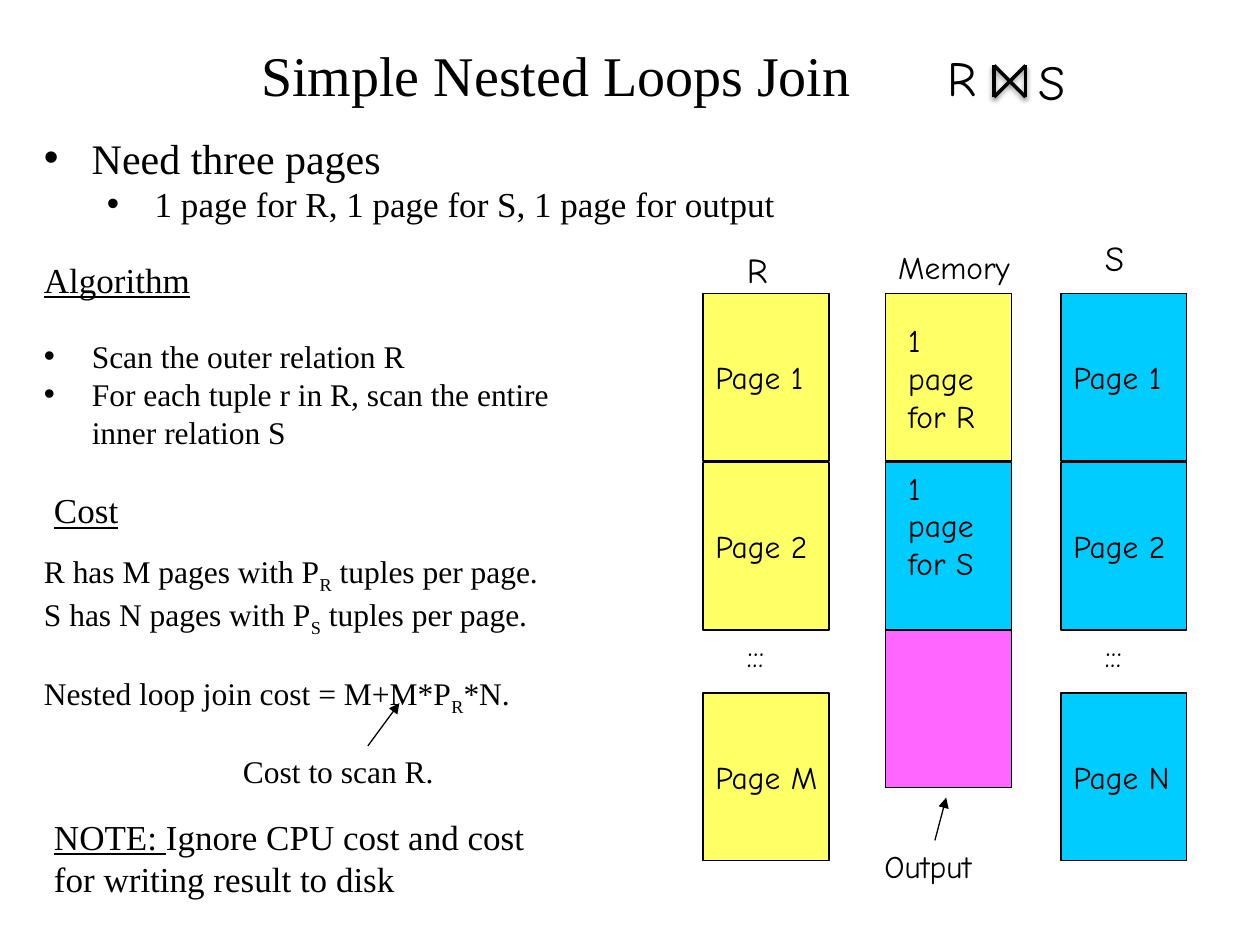
import pptx
import pptx.dml.color
import pptx.enum.shapes
import pptx.enum.text
import pptx.oxml
import pptx.util
from dataclasses import dataclass
from pptx.util import Inches


@dataclass(frozen=True)
class Theme:
    serif: str = "Times New Roman"
    casual: str = "Comic Neue"
    ink: str = "000000"
    r_color: str = "FFFF66"
    s_color: str = "00CCFF"
    output_color: str = "FF66FF"
    title: int = 32
    symbol: int = 28
    lead: int = 24
    heading: int = 20
    body: int = 18
    thin: float = 0.75
    thick: float = 2


theme = Theme()
ink = pptx.dml.color.RGBColor.from_string(theme.ink)
NS = 'xmlns:a="http://schemas.openxmlformats.org/drawingml/2006/main"'
NO_EFFECT = f"<a:effectLst {NS}/>"
SOFT_SHADOW = (
    f'<a:effectLst {NS}><a:outerShdw blurRad="39370" dist="20320" dir="5400000" '
    f'rotWithShape="0"><a:srgbClr val="{theme.ink}"><a:alpha val="38000"/></a:srgbClr>'
    "</a:outerShdw></a:effectLst>"
)
ARROWHEAD = f'<a:tailEnd {NS} type="triangle"/>'


def text_area(parent, left, top, width, height, wrap=False):
    box = parent.shapes.add_textbox(Inches(left), Inches(top), Inches(width), Inches(height))
    box.text_frame.word_wrap = wrap
    box.text_frame.auto_size = pptx.enum.text.MSO_AUTO_SIZE.SHAPE_TO_FIT_TEXT
    return box.text_frame


def write(frame, text, size=theme.body, font=theme.serif, underline=False, subscript=False,
          same_line=False, bullet=False, level=0, gap=0, align=pptx.enum.text.PP_ALIGN.LEFT):
    paragraph = frame.paragraphs[-1]
    if not same_line:
        if paragraph.runs:
            paragraph = frame.add_paragraph()
        paragraph.alignment = align
        paragraph.level = level
        paragraph.space_before = pptx.util.Pt(gap)
        if bullet:
            properties = paragraph._p.get_or_add_pPr()
            properties.set("marL", str(Inches(0.38 + 0.5 * level)))
            properties.set("indent", str(Inches(-0.38)))
            properties.append(pptx.oxml.parse_xml(f'<a:buFont {NS} typeface="Arial"/>'))
            properties.append(pptx.oxml.parse_xml(f'<a:buChar {NS} char="•"/>'))
    run = paragraph.add_run()
    run.text = text
    run.font.size = pptx.util.Pt(size)
    run.font.name = font
    run.font.color.rgb = ink
    run.font.underline = underline
    if subscript:
        run.font._element.set("baseline", "-25000")


presentation = pptx.Presentation()
presentation.slide_width, presentation.slide_height = Inches(10), Inches(7.5)
slide = presentation.slides.add_slide(presentation.slide_layouts[6])

# Title
title = text_area(slide, 0.58, 0.17, 7.67, 0.83, wrap=True)
title.auto_size = pptx.enum.text.MSO_AUTO_SIZE.NONE
title.vertical_anchor = pptx.enum.text.MSO_ANCHOR.MIDDLE
write(title, "Simple Nested Loops Join", size=theme.title, align=pptx.enum.text.PP_ALIGN.CENTER)

# Memory needs
needs = text_area(slide, 0.25, 1, 6.83, 0.84, wrap=True)
write(needs, "Need three pages", size=theme.lead, bullet=True)
write(needs, "1 page for R, 1 page for S, 1 page for output", size=theme.heading, bullet=True, level=1)

# Algorithm
algorithm = text_area(slide, 0.25, 2, 4.42, 1.65, wrap=True)
write(algorithm, "Algorithm", size=theme.heading, underline=True)
write(algorithm, "Scan the outer relation R", bullet=True, gap=21)
write(algorithm, "For each tuple r in R, scan the entire inner relation S", bullet=True)

# Cost
write(text_area(slide, 0.33, 3.83, 0.72, 0.44), "Cost", size=theme.heading, underline=True)
cost = text_area(slide, 0.25, 4.33, 4.18, 1.31)
for start, relation, end, gap in [
    ("R has M pages with P", "R", " tuples per page.", 0),
    ("S has N pages with P", "S", " tuples per page.", 0),
    ("Nested loop join cost = M+M*P", "R", "*N.", 21),
]:
    write(cost, start, gap=gap)
    write(cost, relation, subscript=True, same_line=True)
    write(cost, end, same_line=True)
write(text_area(slide, 1.83, 5.92, 1.73, 0.4), "Cost to scan R.")

# Note
note = text_area(slide, 0.33, 6.42, 4.25, 0.77, wrap=True)
write(note, "NOTE: ", size=theme.heading, underline=True)
write(note, "Ignore CPU cost and cost for writing result to disk", size=theme.heading, same_line=True)

# Pages of R, memory and S
memory = slide.shapes.add_group_shape()
join = slide.shapes.add_group_shape()
relation_s = slide.shapes.add_group_shape()
row_tops = [2.33, 3.67, 5.5]
pages = [
    (memory, 7.03, 2.33, 1.33, theme.r_color, ""),
    (memory, 7.03, 3.67, 1.33, theme.s_color, ""),
    (memory, 7.03, 5, 1.25, theme.output_color, ""),
]
for parent, left, color, last in [
    (slide, 5.58, theme.r_color, "M"),
    (relation_s, 8.42, theme.s_color, "N"),
]:
    pages += [(parent, left, top, 1.33, color, f"Page {number}")
              for top, number in zip(row_tops, ["1", "2", last])]

for parent, left, top, height, color, label in pages:
    page = parent.shapes.add_shape(pptx.enum.shapes.MSO_SHAPE.RECTANGLE,
                                   Inches(left), Inches(top), Inches(1), Inches(height))
    page.shadow.inherit = False
    page.fill.solid()
    page.fill.fore_color.rgb = pptx.dml.color.RGBColor.from_string(color)
    page.line.color.rgb = ink
    page.line.width = pptx.util.Pt(theme.thin)
    if label:
        page.text_frame.word_wrap = False
        page.text_frame.vertical_anchor = pptx.enum.text.MSO_ANCHOR.MIDDLE
        write(page.text_frame, label, font=theme.casual)

# Labels of the diagram and the join symbol
for parent, text, left, top, width, height, size, wrap in [
    (memory, "Memory", 7.03, 1.92, 1.14, 0.4, theme.body, False),
    (memory, "1 page for R", 7.11, 2.5, 0.83, 1, theme.body, True),
    (memory, "1 page for S", 7.11, 3.67, 0.83, 1, theme.body, True),
    (memory, "Output", 6.92, 6.67, 1.04, 0.4, theme.body, False),
    (slide, "R", 5.83, 1.92, 0.38, 0.44, theme.heading, False),
    (slide, ":::", 5.83, 5, 0.43, 0.4, theme.body, False),
    (relation_s, "S", 8.67, 1.83, 0.4, 0.44, theme.heading, False),
    (relation_s, ":::", 8.67, 5, 0.43, 0.4, theme.body, False),
    (join, "R", 7.42, 0.33, 0.45, 0.57, theme.symbol, False),
    (join, "S", 8.14, 0.36, 0.47, 0.57, theme.symbol, False),
]:
    write(text_area(parent, left, top, width, height, wrap), text, size=size, font=theme.casual)

# Arrows and the strokes of the join symbol
for parent, x1, y1, x2, y2, is_arrow in [
    (slide, 2.92, 5.92, 3.17, 5.58, True),
    (memory, 7.42, 6.67, 7.51, 6.33, True),
    (join, 8.14, 0.52, 8.14, 0.77, False),
    (join, 7.89, 0.52, 7.89, 0.77, False),
    (join, 7.89, 0.77, 8.14, 0.52, False),
    (join, 7.89, 0.52, 8.14, 0.77, False),
]:
    stroke = parent.shapes.add_connector(pptx.enum.shapes.MSO_CONNECTOR.STRAIGHT,
                                         Inches(x1), Inches(y1), Inches(x2), Inches(y2))
    stroke.line.color.rgb = ink
    stroke.line.width = pptx.util.Pt(theme.thin if is_arrow else theme.thick)
    if is_arrow:
        stroke.line._get_or_add_ln().append(pptx.oxml.parse_xml(ARROWHEAD))
    effect = NO_EFFECT if is_arrow else SOFT_SHADOW
    stroke._element.spPr.append(pptx.oxml.parse_xml(effect))

presentation.save("out.pptx")
